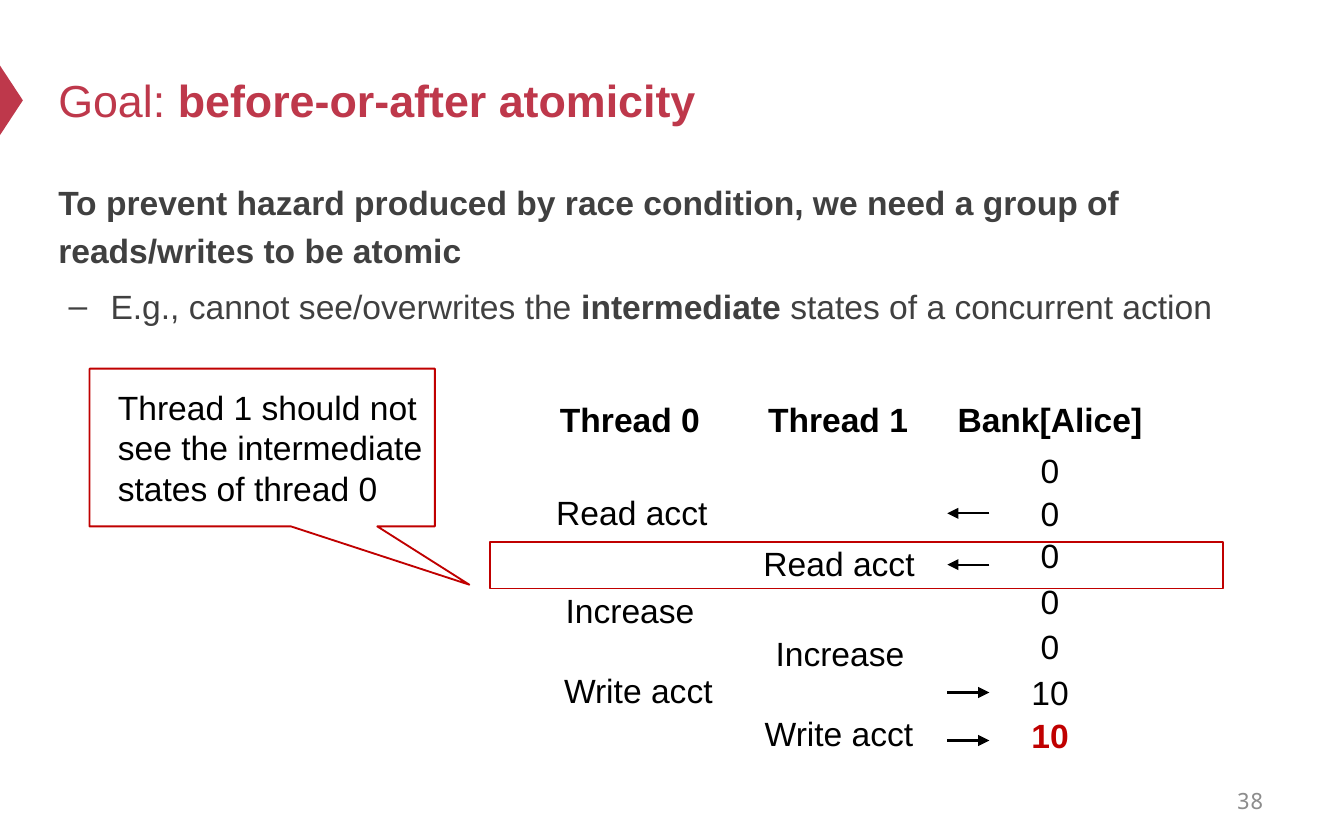
from pptx import Presentation
from pptx.dml.color import RGBColor
from pptx.enum.shapes import MSO_CONNECTOR, MSO_SHAPE
from pptx.enum.text import MSO_ANCHOR, MSO_AUTO_SIZE, PP_ALIGN
from pptx.oxml.ns import qn
from pptx.util import Pt
from lxml import etree

LEFT, CENTER, RIGHT = PP_ALIGN.LEFT, PP_ALIGN.CENTER, PP_ALIGN.RIGHT
TOP, MIDDLE = MSO_ANCHOR.TOP, MSO_ANCHOR.MIDDLE
CRIMSON = RGBColor(0xBE, 0x38, 0x4B)
RED = RGBColor(0xC0, 0x00, 0x00)
BLACK = RGBColor(0x00, 0x00, 0x00)
DARK = RGBColor(0x40, 0x40, 0x40)
GRAY = RGBColor(0x8C, 0x8C, 0x8C)

# Runs are (text, bold)
TITLE = [("Goal: ", False), ("before-or-after atomicity", True)]
CLAIM = [("To prevent hazard produced by race condition, we need a group of "
          "reads/writes to be atomic", True)]
EXAMPLE = [("E.g., cannot see/overwrites the ", False), ("intermediate", True),
           (" states of a concurrent action", False)]
CALLOUT = "Thread 1 should not see the intermediate states of thread 0"
PAGE = "38"

# Text, centre x
HEADERS = [("Thread 0", 337.5), ("Thread 1", 449), ("Bank[Alice]", 562.5)]
HEADER_TOP = 210
# Text, centre x, top
ACTIONS = [
    ("Read acct", 338.5, 260), ("Read acct", 449.5, 287.5),
    ("Increase", 337.5, 312.5), ("Increase", 450, 335.5),
    ("Write acct", 342, 355.5), ("Write acct", 449.5, 378.5),
]
BALANCES = [("0", 237.5), ("0", 260.5), ("0", 283), ("0", 307.5),
            ("0", 332), ("10", 356.5), ("10", 379.5)]
# y, end that carries the arrowhead
ARROWS = [(275, "tailEnd"), (302.5, "tailEnd"), (371, "headEnd"), (396.7, "headEnd")]
ARROW_FROM, ARROW_TO = 530, 507.5
CELL_W, CELL_H = 120, 29


def box(left, top, width, height):
    return [Pt(v) for v in (left, top, width, height)]


def add_runs(p, runs, size=18, color=BLACK, font="Arial"):
    for text, bold in runs:
        r = p.add_run()
        r.text = text
        r.font.color.rgb = color
        for key, value in dict(name=font, size=Pt(size), bold=bold).items():
            setattr(r.font, key, value)


def add_text(s, area, text, bold=False, align=CENTER, anchor=TOP, **font):
    tf = s.shapes.add_textbox(*box(*area)).text_frame
    tf.word_wrap = True
    tf.vertical_anchor = anchor
    tf.paragraphs[0].alignment = align
    add_runs(tf.paragraphs[0], [(text, bold)], **font)


def add_cell(s, text, center, top, **style):
    add_text(s, (center - CELL_W / 2, top, CELL_W, CELL_H), text, **style)


def add_shape(s, kind, area, fill=None, line=None):
    sp = s.shapes.add_shape(kind, *box(*area))
    sp.shadow.inherit = False
    if fill:
        sp.fill.solid()
        sp.fill.fore_color.rgb = fill
    else:
        sp.fill.background()
    if line:
        sp.line.color.rgb = line
        sp.line.width = Pt(1)
    else:
        sp.line.fill.background()
    return sp


def add_arrow(s, y, end):
    line = s.shapes.add_connector(MSO_CONNECTOR.STRAIGHT, Pt(ARROW_FROM), Pt(y),
                                  Pt(ARROW_TO), Pt(y))
    line.line.color.rgb = BLACK
    line.line.width = Pt(1.2)
    etree.SubElement(line.line._get_or_add_ln(), qn("a:" + end), type="triangle")
    etree.SubElement(line._element.spPr, qn("a:effectLst"))


def place(sp, area, anchor):
    """Position a placeholder and return its text frame."""
    sp.left, sp.top, sp.width, sp.height = box(*area)
    tf = sp.text_frame
    tf.auto_size = MSO_AUTO_SIZE.NONE
    tf.vertical_anchor = anchor
    return tf


def set_bullet(p, char=None, margin=0, indent=0):
    pPr = p._p.get_or_add_pPr()
    pPr.set("marL", str(Pt(margin)))
    pPr.set("indent", str(Pt(indent)))
    if char:
        etree.SubElement(pPr, qn("a:buChar"), char=char)
    else:
        etree.SubElement(pPr, qn("a:buNone"))


def fill_placeholders(s):
    tf = place(s.shapes.title, (24, 18, 648, 70.5), MIDDLE)
    tf.paragraphs[0].alignment = LEFT
    add_runs(tf.paragraphs[0], TITLE, size=24, color=CRIMSON)

    tf = place(s.placeholders[1], (24, 89.5, 648, 296.5), TOP)
    claim, example = tf.paragraphs[0], tf.add_paragraph()
    example.level = 1
    set_bullet(claim)
    set_bullet(example, "–", 28, -22.5)
    for p, runs, before in ((claim, CLAIM, 0), (example, EXAMPLE, 4)):
        p.line_spacing = 1.2
        p.space_before = Pt(before)
        add_runs(p, runs, color=DARK)


def add_callout(s):
    sp = add_shape(s, MSO_SHAPE.RECTANGULAR_CALLOUT, (48, 197.5, 185, 84.5), line=RED)
    sp.adjustments[0], sp.adjustments[1] = 0.6, 0.87
    tf = sp.text_frame
    tf.word_wrap = True
    tf.vertical_anchor = MIDDLE
    tf.margin_left, tf.margin_right = Pt(15.2), Pt(0)
    tf.paragraphs[0].alignment = LEFT
    add_runs(tf.paragraphs[0], [(CALLOUT, False)])


def main():
    prs = Presentation()
    prs.slide_width, prs.slide_height = Pt(720), Pt(450)
    s = prs.slides.add_slide(prs.slide_layouts[1])
    marker = add_shape(s, MSO_SHAPE.ISOSCELES_TRIANGLE, (-13, 47.5, 38, 12.5), fill=CRIMSON)
    marker.rotation = 90
    fill_placeholders(s)
    add_text(s, (516, 417, 168, 24), PAGE, align=RIGHT, anchor=MIDDLE,
             size=12, color=GRAY, font="Noto Sans Mono")

    for text, center in HEADERS:
        add_cell(s, text, center, HEADER_TOP, bold=True)
    for text, center, top in ACTIONS:
        add_cell(s, text, center, top)
    for i, (text, top) in enumerate(BALANCES):
        final = i == len(BALANCES) - 1
        add_cell(s, text, HEADERS[-1][1], top, bold=final, color=RED if final else BLACK)
    for y, end in ARROWS:
        add_arrow(s, y, end)

    add_shape(s, MSO_SHAPE.RECTANGLE, (262.5, 290.3, 392.5, 25), line=RED)
    add_callout(s)
    prs.save("out.pptx")


if __name__ == "__main__":
    main()
